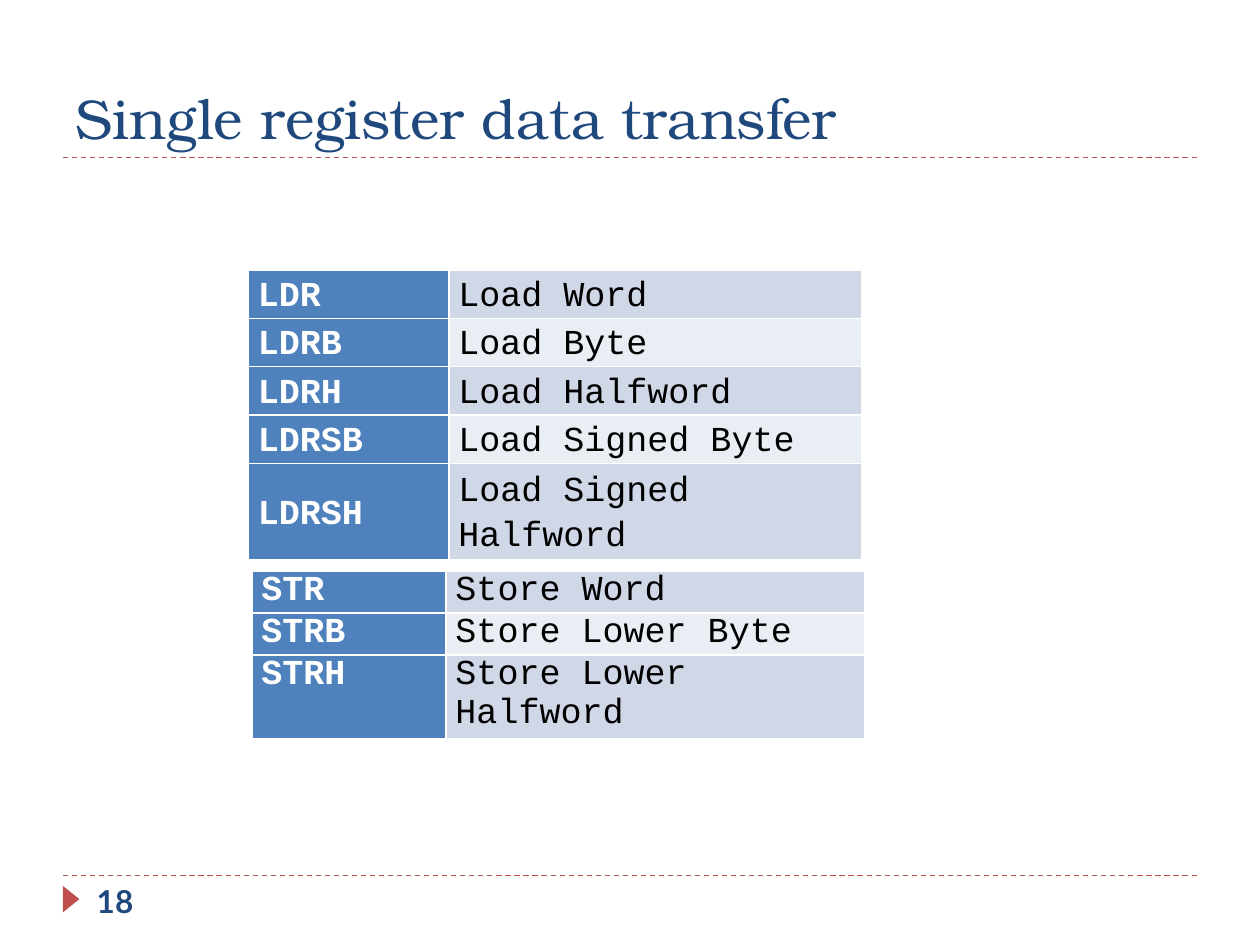
from dataclasses import dataclass

import lxml.etree
import pptx
import pptx.dml.color
import pptx.enum.dml
import pptx.enum.shapes
import pptx.enum.text
import pptx.oxml
import pptx.oxml.ns
import pptx.util

Pt = pptx.util.Pt
RGB = pptx.dml.color.RGBColor.from_string
ANCHOR = pptx.enum.text.MSO_ANCHOR
qn = pptx.oxml.ns.qn


@dataclass(frozen=True)
class Theme:
    navy: str = "1F497D"
    accent: str = "C0504D"
    key_fill: str = "4F81BD"
    bands: tuple = ("D0D8E8", "E9EDF4")
    white: str = "FFFFFF"
    black: str = "000000"
    title_font: str = "TeX Gyre Bonum"
    number_font: str = "Lato"
    code_font: str = "Courier New"
    title_size: int = 32
    number_size: int = 18
    code_size: int = 20


THEME = Theme()
LOADS = [
    ("LDR", "Load Word"),
    ("LDRB", "Load Byte"),
    ("LDRH", "Load Halfword"),
    ("LDRSB", "Load Signed Byte"),
    ("LDRSH", "Load Signed Halfword"),
]
STORES = [
    ("STR", "Store Word"),
    ("STRB", "Store Lower Byte"),
    ("STRH", "Store Lower Halfword"),
]


def add_run(paragraph, text, font, size, color, bold=False):
    run = paragraph.add_run()
    run.text = text
    run.font.name = font
    run.font.size = Pt(size)
    run.font.bold = bold
    run.font.color.rgb = RGB(color)


def add_rule(slide, left, top, width):
    """Draw a dashed horizontal line."""
    rule = slide.shapes.add_connector(
        pptx.enum.shapes.MSO_CONNECTOR.STRAIGHT,
        Pt(left), Pt(top), Pt(left + width), Pt(top))
    rule.line.color.rgb = RGB(THEME.accent)
    rule.line.width = Pt(0.75)
    rule.line.dash_style = pptx.enum.dml.MSO_LINE.DASH
    lxml.etree.SubElement(rule._element.spPr, qn("a:effectLst"))


def add_title(slide, text, left, top, width, height):
    title = slide.shapes.title
    title.left, title.top = Pt(left), Pt(top)
    title.width, title.height = Pt(width), Pt(height)
    frame = title.text_frame
    frame.vertical_anchor = ANCHOR.BOTTOM
    paragraph = frame.paragraphs[0]
    paragraph.alignment = pptx.enum.text.PP_ALIGN.LEFT
    add_run(paragraph, text, THEME.title_font, THEME.title_size, THEME.navy)
    add_rule(slide, left, top + height, width)


def add_footer(slide, number, left, top, width):
    add_rule(slide, left, top, width)
    marker = slide.shapes.add_shape(
        pptx.enum.shapes.MSO_SHAPE.ISOSCELES_TRIANGLE,
        Pt(left - 2.9), Pt(top + 8.7), Pt(15.1), Pt(9.4))
    marker.rotation = 90
    marker.shadow.inherit = False
    marker.fill.solid()
    marker.fill.fore_color.rgb = RGB(THEME.accent)
    marker.line.fill.background()
    box = slide.shapes.add_textbox(Pt(left + 12.2), Pt(top), Pt(156), Pt(28.8))
    frame = box.text_frame
    frame.word_wrap = True
    frame.vertical_anchor = ANCHOR.MIDDLE
    add_run(frame.paragraphs[0], number, THEME.number_font, THEME.number_size,
            THEME.navy, bold=True)


def set_borders(cell, color, width):
    properties = cell._tc.get_or_add_tcPr()
    for index, side in enumerate(("lnL", "lnR", "lnT", "lnB")):
        border = pptx.oxml.parse_xml(
            f'<a:{side} {pptx.oxml.ns.nsdecls("a")} w="{Pt(width)}"><a:solidFill>'
            f'<a:srgbClr val="{color}"/></a:solidFill></a:{side}>')
        properties.insert(index, border)


def add_instruction_table(slide, rows, left, top, widths, heights, anchor, spacing):
    table = slide.shapes.add_table(
        len(rows), len(widths), Pt(left), Pt(top),
        Pt(sum(widths)), Pt(sum(heights))).table
    table.first_row = table.horz_banding = False
    for column, width in zip(table.columns, widths):
        column.width = Pt(width)
    for row_index, (texts, height) in enumerate(zip(rows, heights)):
        table.rows[row_index].height = Pt(height)
        band = THEME.bands[row_index % 2]
        styles = ((THEME.key_fill, THEME.white, True), (band, THEME.black, False))
        for column_index, (text, style) in enumerate(zip(texts, styles)):
            fill, color, bold = style
            cell = table.cell(row_index, column_index)
            cell.fill.solid()
            cell.fill.fore_color.rgb = RGB(fill)
            cell.margin_left = cell.margin_right = Pt(5.4)
            cell.margin_top = cell.margin_bottom = Pt(0)
            cell.vertical_anchor = anchor
            set_borders(cell, THEME.white, 1)
            paragraph = cell.text_frame.paragraphs[0]
            paragraph.line_spacing = spacing
            add_run(paragraph, text, THEME.code_font, THEME.code_size, color, bold)


def main():
    presentation = pptx.Presentation()
    presentation.slide_width, presentation.slide_height = Pt(720), Pt(540)
    slide = presentation.slides.add_slide(presentation.slide_layouts[5])
    add_title(slide, "Single register data transfer", 36, 12, 648, 78)
    add_footer(slide, "18", 36, 500.4, 648)
    add_instruction_table(slide, LOADS, 142, 154.3, (114.5, 236),
                          [26] * 4 + [52], ANCHOR.MIDDLE, 1.15)
    add_instruction_table(slide, STORES, 144, 326.2, (110.9, 239.5),
                          [22.5] * 2 + [45], ANCHOR.TOP, 1.0)
    presentation.save("out.pptx")


if __name__ == "__main__":
    main()
